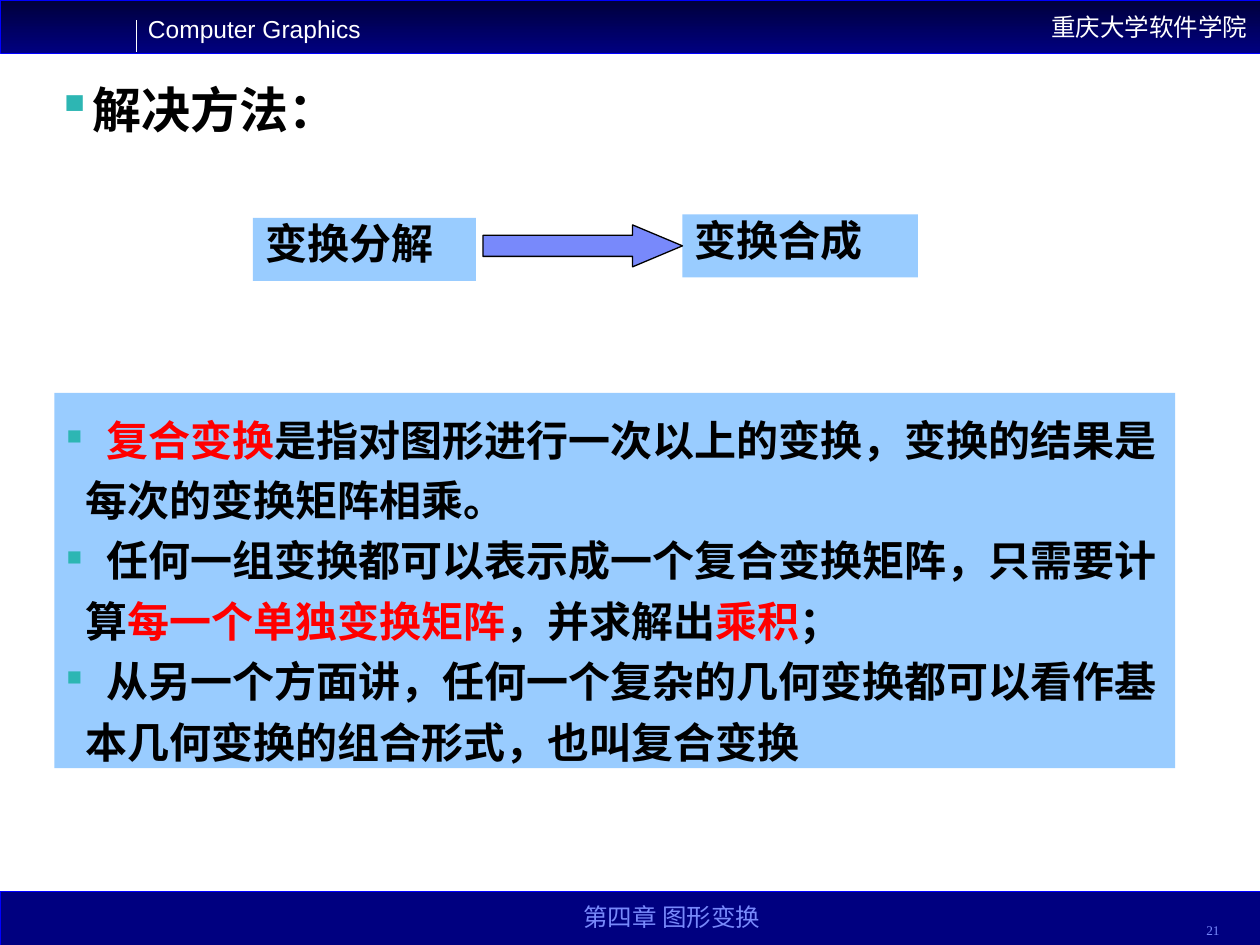
import pptx
import pptx.dml.color
import pptx.enum.shapes
import pptx.enum.text
import pptx.oxml.ns
import pptx.util
from lxml import etree

Pt = pptx.util.Pt
RGBColor = pptx.dml.color.RGBColor
Align = pptx.enum.text.PP_ALIGN
Anchor = pptx.enum.text.MSO_ANCHOR
Shape = pptx.enum.shapes.MSO_SHAPE
qn = pptx.oxml.ns.qn

WHITE = RGBColor(0xFF, 0xFF, 0xFF)
BLACK = RGBColor(0, 0, 0)
RED = RGBColor(0xFF, 0, 0)
NAVY = RGBColor(0, 0, 0x80)
MIDNIGHT = RGBColor(0, 0, 0x3B)
BLUE = RGBColor(0, 0, 0xFF)
SKY = RGBColor(0x99, 0xCC, 0xFF)
PERIWINKLE = RGBColor(0x78, 0x89, 0xFB)
TEAL = RGBColor(0x2D, 0xB6, 0xB3)
SANS, SERIF, CJK = "Arial", "Times New Roman", "Noto Sans CJK SC"

POINTS = [
    ([("复合变换", RED), ("是指对图形进行一次以上的变换，变换的结果是", BLACK)],
     [("每次的变换矩阵相乘。", BLACK)]),
    ([("任何一组变换都可以表示成一个复合变换矩阵，只需要计", BLACK)],
     [("算", BLACK), ("每一个单独变换矩阵", RED), ("，并求解出", BLACK),
      ("乘积", RED), ("；", BLACK)]),
    ([("从另一个方面讲，任何一个复杂的几何变换都可以看作基", BLACK)],
     [("本几何变换的组合形式，也叫复合变换", BLACK)]),
]


class SlideBuilder:
    """Draws styled elements on the current slide, with lengths in points."""

    def __init__(self, page):
        self.page = page

    def shape(self, kind, place, fill, line=None, width=0.25):
        shape = self.page.shapes.add_shape(kind, *map(Pt, place))
        shape.shadow.inherit = False
        shape.fill.solid()
        shape.fill.fore_color.rgb = fill
        if line is None:
            shape.line.fill.background()
        else:
            shape.line.color.rgb = line
            shape.line.width = Pt(width)
        return shape

    def gradient(self, shape, start, end):
        shape.fill.gradient()
        shape.fill.gradient_angle = 270
        for stop, color in zip(shape.fill.gradient_stops, (start, end)):
            stop.color.rgb = color

    def line(self, begin, end, color):
        line = self.page.shapes.add_connector(
            pptx.enum.shapes.MSO_CONNECTOR.STRAIGHT, *map(Pt, begin + end))
        line.line.color.rgb = color
        line.line.width = Pt(0.75)
        etree.SubElement(line.element.spPr, qn("a:effectLst"))

    def frame(self, shape, anchor=Anchor.TOP, top=3.6):
        frame = shape.text_frame
        frame.word_wrap = True
        frame.auto_size = pptx.enum.text.MSO_AUTO_SIZE.NONE
        frame.vertical_anchor = anchor
        frame.margin_left = frame.margin_right = Pt(7.2)
        frame.margin_top, frame.margin_bottom = Pt(top), Pt(3.6)
        return frame

    def text(self, shape, words, size, font, color, align=Align.LEFT,
             anchor=Anchor.TOP, top=3.6, bold=False):
        para = self.frame(shape, anchor, top).paragraphs[0]
        self.paragraph(para, [(words, color)], size, font, bold, align)
        return para

    def paragraph(self, para, spans, size, font, bold, align=Align.LEFT):
        para.alignment = align
        for words, color in spans:
            span = para.add_run()
            span.text = words
            span.font.color.rgb = color
        para.font.size, para.font.name, para.font.bold = Pt(size), font, bold

    def label(self, place, words, size, font, color, **style):
        box = self.page.shapes.add_textbox(*map(Pt, place))
        self.text(box, words, size, font, color, **style)

    def bullet(self, para, char, indent, percent=100):
        props = para._p.get_or_add_pPr()
        props.set("marL", str(Pt(indent)))
        props.set("indent", str(-Pt(indent)))
        color = etree.SubElement(props, qn("a:buClr"))
        etree.SubElement(color, qn("a:srgbClr"), val=str(TEAL))
        etree.SubElement(props, qn("a:buSzPct"), val=str(percent * 1000))
        etree.SubElement(props, qn("a:buChar"), char=char)

    def title(self, place, words):
        title = self.page.shapes.title
        title.left, title.top, title.width, title.height = map(Pt, place)
        para = self.frame(title, top=0).paragraphs[0]
        self.bullet(para, "▪", 18)
        para.line_spacing = 0.9
        self.paragraph(para, [(words, BLACK)], 28, SANS, True)

    def step(self, place, words):
        box = self.shape(Shape.RECTANGLE, place, SKY)
        self.text(box, words, 24, SERIF, BLACK, top=0, bold=True)

    def points(self, place, points):
        frame = self.frame(self.shape(Shape.RECTANGLE, place, SKY), top=6.5)
        frame.margin_bottom = 0
        rows = [(spans, row == 0) for point in points for row, spans in enumerate(point)]
        for index, (spans, first) in enumerate(rows):
            para = frame.add_paragraph() if index else frame.paragraphs[0]
            if first:
                self.bullet(para, "■", 23, 50)
            else:
                para._p.get_or_add_pPr().set("marL", str(Pt(11)))
            para.line_spacing = Pt(34.5)
            self.paragraph(para, spans, 24, CJK, True)


def main():
    deck = pptx.Presentation()
    deck.slide_width, deck.slide_height = Pt(720), Pt(540)
    builder = SlideBuilder(deck.slides.add_slide(deck.slide_layouts[5]))

    header = builder.shape(Shape.RECTANGLE, (0, 0, 720, 30.5), NAVY, BLUE)
    builder.gradient(header, MIDNIGHT, NAVY)
    builder.text(header, "重庆大学软件学院", 14, SANS, WHITE, Align.RIGHT, Anchor.MIDDLE)
    builder.shape(Shape.RECTANGLE, (0, 509.5, 720, 30.5), NAVY, BLUE)
    builder.label((77.5, 4.5, 144, 24.5), "Computer Graphics", 14, SANS, WHITE)
    builder.line((78, 11.5), (78, 30), WHITE)
    builder.label((270, 508.5, 228, 27), "第四章 图形变换", 14, SERIF, PERIWINKLE,
                  align=Align.CENTER, anchor=Anchor.BOTTOM)
    builder.label((632, 512.5, 72, 27), "21", 7.6, SERIF, PERIWINKLE,
                  align=Align.RIGHT, anchor=Anchor.BOTTOM)

    builder.title((25, 49, 612, 45.5), "解决方法：")
    builder.step((144.5, 124.5, 127.5, 36), "变换分解")
    builder.step((390, 122.5, 134.5, 36), "变换合成")
    arrow = builder.shape(Shape.RIGHT_ARROW, (276, 128.5, 114, 24), PERIWINKLE, BLACK, 0.75)
    arrow.adjustments[1] = 1.19
    builder.points((31, 224.5, 640.5, 214.5), POINTS)

    deck.save("out.pptx")


if __name__ == "__main__":
    main()
